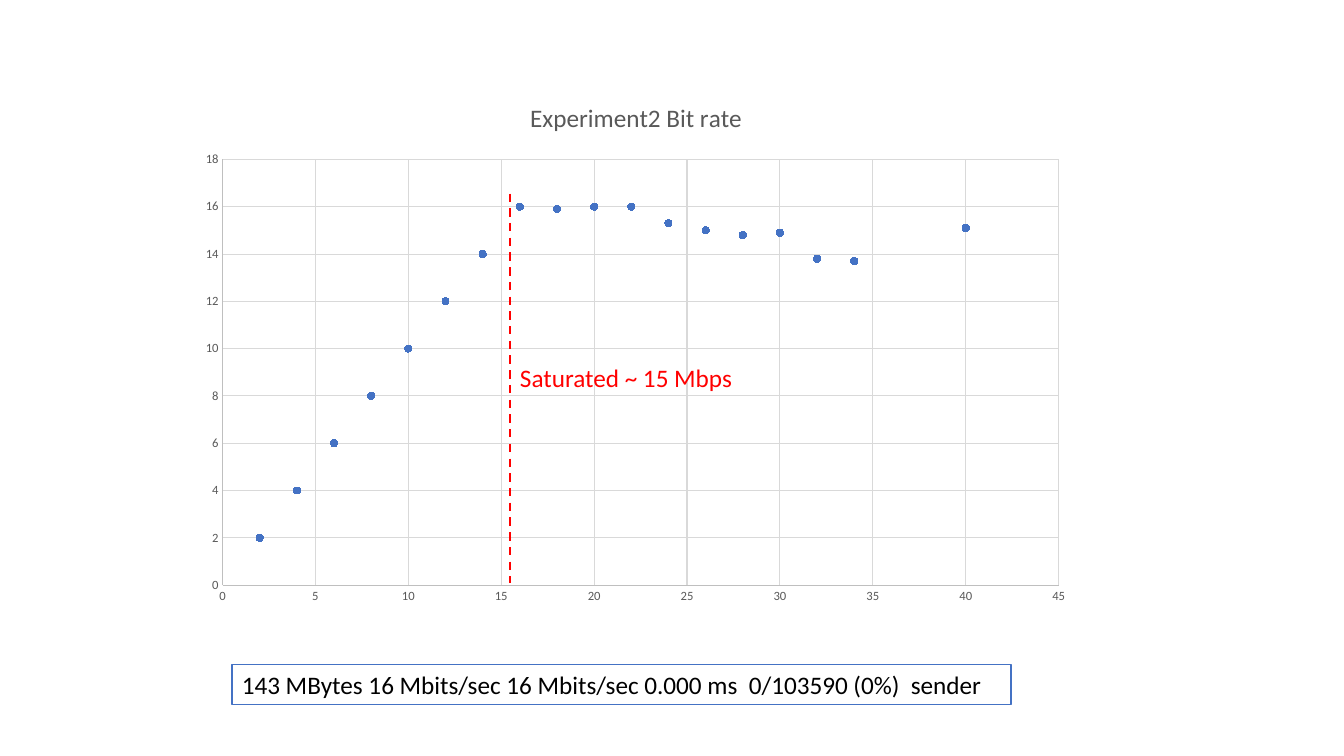
from dataclasses import dataclass
from typing import Optional

from lxml import etree
from pptx import Presentation
from pptx.chart.data import XyChartData
from pptx.dml.color import RGBColor
from pptx.enum.chart import XL_CHART_TYPE as ChartType, XL_MARKER_STYLE as Marker
from pptx.enum.chart import XL_TICK_MARK as Tick
from pptx.enum.dml import MSO_LINE_DASH_STYLE as Dash
from pptx.enum.shapes import MSO_CONNECTOR as Connector, MSO_SHAPE as Shape
from pptx.enum.text import MSO_ANCHOR as Anchor, PP_ALIGN as Align
from pptx.oxml import parse_xml
from pptx.oxml.ns import nsdecls, qn
from pptx.util import Inches, Pt

BLACK = RGBColor(0x00, 0x00, 0x00)
WHITE = RGBColor(0xFF, 0xFF, 0xFF)
RED = RGBColor(0xFF, 0x00, 0x00)
BLUE = RGBColor(0x44, 0x72, 0xC4)
LABEL_GREY = RGBColor(0x59, 0x59, 0x59)
AXIS_GREY = RGBColor(0xBF, 0xBF, 0xBF)
GRID_GREY = RGBColor(0xD9, 0xD9, 0xD9)
FONT = "Calibri"

SENT_RATES = [*range(2, 35, 2), 40]
BIT_RATES = [2, 4, 6, 8, 10, 12, 14, 16, 15.9, 16, 16, 15.3, 15, 14.8, 14.9, 13.8, 13.7, 15.1]


@dataclass(frozen=True)
class Box:
    """Place and size in percent of the slide's width and height."""
    left: float
    top: float
    width: float
    height: float

    def lengths(self) -> tuple:
        w, h = prs.slide_width / 100, prs.slide_height / 100
        return int(self.left * w), int(self.top * h), int(self.width * w), int(self.height * h)


@dataclass(frozen=True)
class Label:
    text: str
    box: Box
    color: RGBColor
    border: Optional[RGBColor] = None


CHART_BOX = Box(13.88, 10.53, 66.9, 70.4)
SATURATION_LINE = Box(37.95, 25.6, 0, 51.47)
LABELS = [
    Label("Saturated ~ 15 Mbps", Box(37.95, 47.33, 21.38, 5.33), RED),
    Label("143 MBytes 16 Mbits/sec 16 Mbits/sec 0.000 ms  0/103590 (0%)  sender",
          Box(17.25, 87.87, 57.98, 5.33), BLACK, BLUE),
]
PLOT_SHARES = {"x": 0.04, "y": 0.15, "w": 0.93, "h": 0.8}


def write(tf, text: str, *, size: float = 18, color: RGBColor = BLACK) -> None:
    p = tf.paragraphs[0]
    p.alignment = Align.LEFT
    r = p.add_run()
    r.text = text
    style_font(r.font, size, color)


def style_font(font, size: float, color: RGBColor) -> None:
    font.name, font.size, font.bold = FONT, Pt(size), False
    font.color.rgb = color


def style_line(line, color: RGBColor, width: float) -> None:
    line.color.rgb = color
    line.width = Pt(width)


def style_axis(axis, top: float, step: float) -> None:
    axis.minimum_scale, axis.maximum_scale, axis.major_unit = 0, top, step
    axis.major_tick_mark = axis.minor_tick_mark = Tick.NONE
    axis.has_major_gridlines = True
    style_line(axis.major_gridlines.format.line, GRID_GREY, 0.75)
    style_line(axis.format.line, AXIS_GREY, 0.75)
    style_font(axis.tick_labels.font, 9, LABEL_GREY)
    axis.tick_labels.number_format = "General"
    axis.tick_labels.number_format_is_linked = False


def fix_plot_area(chart) -> None:
    area = chart.plots[0]._element.getparent()
    for old in area.findall(qn("c:layout")):
        area.remove(old)
    layout = parse_xml(f"<c:layout {nsdecls('c')}><c:manualLayout/></c:layout>")
    settings = {"layoutTarget": "inner", "xMode": "edge", "yMode": "edge", **PLOT_SHARES}
    for name, value in settings.items():
        etree.SubElement(layout[0], qn(f"c:{name}")).set("val", str(value))
    area.insert(0, layout)


def add_bit_rate_chart(box: Box) -> None:
    data = XyChartData()
    series_data = data.add_series("Series 1")
    for sent, rate in zip(SENT_RATES, BIT_RATES):
        series_data.add_data_point(sent, rate)
    chart = s.shapes.add_chart(ChartType.XY_SCATTER, *box.lengths(), data).chart
    style_font(chart.font, 10, BLACK)
    chart.has_legend = False
    chart.has_title = True
    write(chart.chart_title.text_frame, "Experiment2 Bit rate", color=LABEL_GREY)
    chart.chart_title.include_in_layout = False
    style_axis(chart.category_axis, 45, 5)
    style_axis(chart.value_axis, 18, 2)
    fix_plot_area(chart)

    chart.plots[0].vary_by_categories = False
    series = chart.plots[0].series[0]
    series.smooth = False
    series.format.line.fill.background()
    series.marker.style, series.marker.size = Marker.CIRCLE, 5
    series.marker.format.fill.solid()
    series.marker.format.fill.fore_color.rgb = BLUE
    style_line(series.marker.format.line, BLUE, 0.75)


def add_dashed_line(box: Box) -> None:
    x, y, w, h = box.lengths()
    line = s.shapes.add_connector(Connector.STRAIGHT, x, y, x + w, y + h)
    style_line(line.line, RED, 1.5)
    line.line.dash_style = Dash.DASH
    etree.SubElement(line._element.spPr, qn("a:effectLst"))


def add_label(label: Label) -> None:
    if label.border is None:
        sp = s.shapes.add_textbox(*label.box.lengths())
    else:
        sp = s.shapes.add_shape(Shape.RECTANGLE, *label.box.lengths())
        sp.shadow.inherit = False
        sp.fill.solid()
        sp.fill.fore_color.rgb = WHITE
        style_line(sp.line, label.border, 1)
    tf = sp.text_frame
    tf.word_wrap = True
    tf.vertical_anchor = Anchor.TOP
    write(tf, label.text, color=label.color)


prs = Presentation()
prs.slide_width, prs.slide_height = Inches(13.33), Inches(7.5)
s = prs.slides.add_slide(prs.slide_layouts[6])

# Chart with the saturation point marked
add_bit_rate_chart(CHART_BOX)
add_dashed_line(SATURATION_LINE)

# Saturation note and sender summary
for label in LABELS:
    add_label(label)

prs.save("out.pptx")
